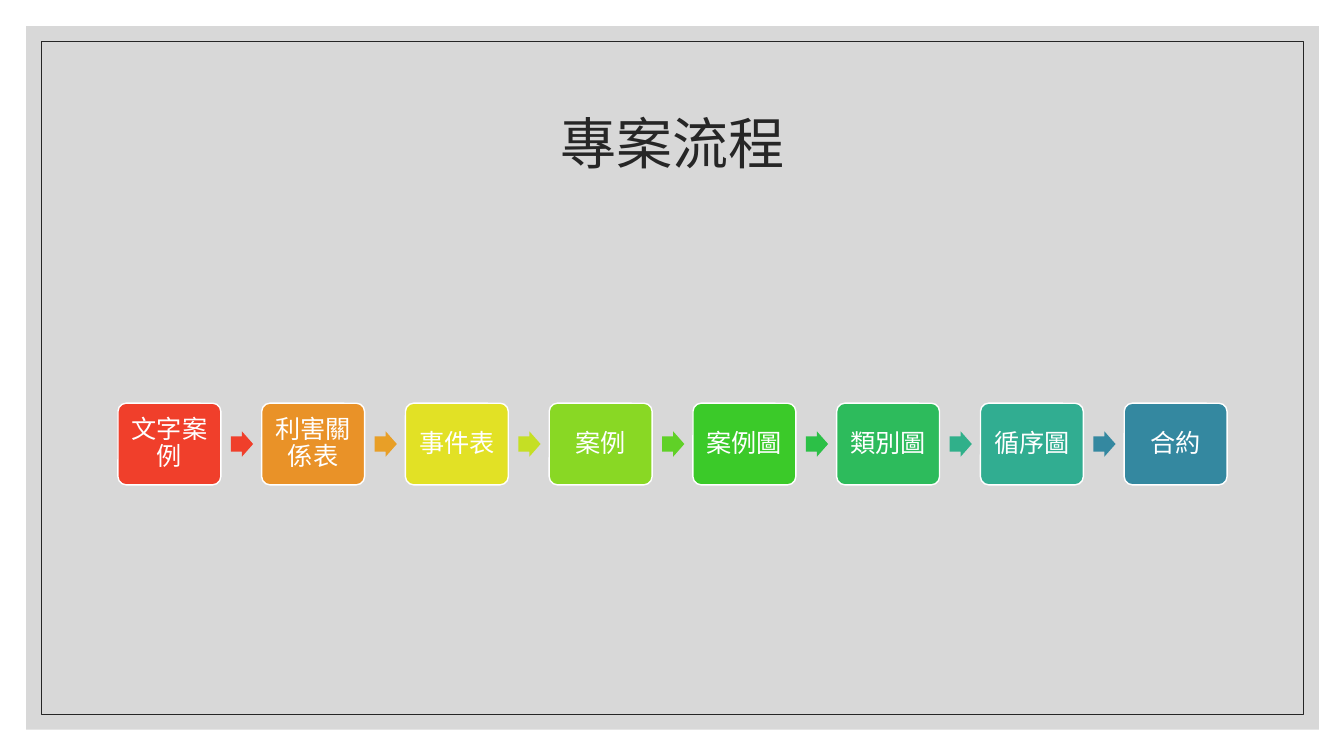
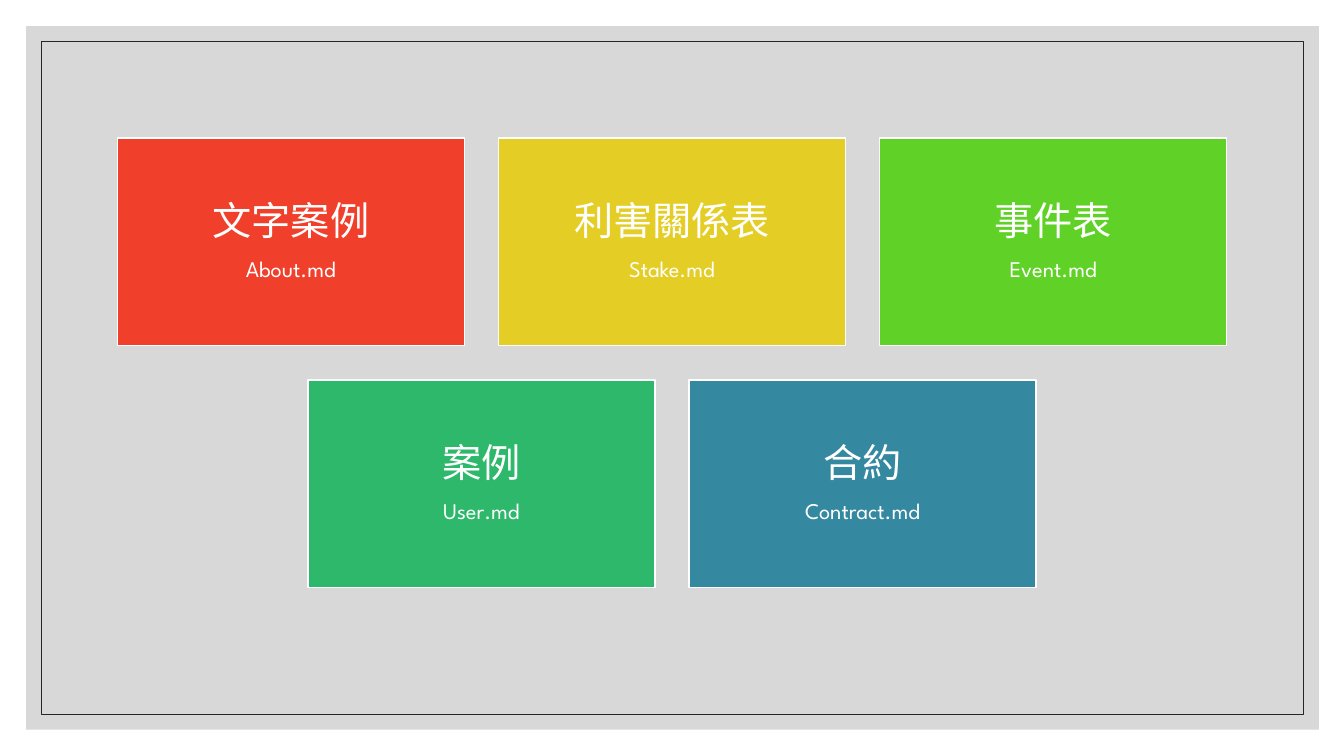
from dataclasses import dataclass

from lxml import etree
from pptx import Presentation
from pptx.dml.color import RGBColor
from pptx.enum import shapes, text
from pptx.oxml.ns import qn
from pptx.util import Inches, Pt


@dataclass(frozen=True)
class Theme:
    """Colours, fonts and type sizes of the deck."""
    ink: str = "262626"
    white: str = "FFFFFF"
    panel: str = "BFBFBF"
    latin: str = "League Spartan"
    cjk: str = "Noto Sans CJK TC"
    title: int = 40
    head: int = 28
    step: int = 18
    file: int = 16


theme = Theme()
kind = shapes.MSO_SHAPE
WIDE, HIGH = 13.33, 7.5
LEFT, SPAN = 1.17, 11


def block(slide, form, box, fill=None, line=None, weight=1):
    """Add a preset shape with the given fill and line."""
    shape = slide.shapes.add_shape(form, *map(Inches, box))
    shape.shadow.inherit = False
    if fill:
        shape.fill.solid()
        shape.fill.fore_color.rgb = RGBColor.from_string(fill)
    else:
        shape.fill.background()
    if line:
        shape.line.color.rgb = RGBColor.from_string(line)
        shape.line.width = Pt(weight)
    else:
        shape.line.fill.background()
    return shape


def write(shape, lines, color, face, inset, gap=0.35):
    """Fill a shape with centred (wording, size) lines."""
    frame = shape.text_frame
    frame.word_wrap = True
    frame.vertical_anchor = text.MSO_ANCHOR.MIDDLE
    frame.margin_left = frame.margin_right = Inches(inset)
    frame.margin_top = frame.margin_bottom = Inches(inset)
    for i, (words, size) in enumerate(lines):
        para = frame.add_paragraph() if i else frame.paragraphs[0]
        para.text = words
        para.alignment = text.PP_ALIGN.CENTER
        para.line_spacing = 0.9
        para.space_after = Pt(size * gap)
        para.font.size = Pt(size)
        para.font.name = face
        para.font.color.rgb = RGBColor.from_string(color)
        props = para._p.pPr.find(qn("a:defRPr"))
        etree.SubElement(props, qn("a:ea"), typeface=theme.cjk)


deck = Presentation()
deck.slide_width, deck.slide_height = Inches(WIDE), Inches(HIGH)
flow, files = [deck.slides.add_slide(deck.slide_layouts[6]) for _ in range(2)]

# Shared panel and frame
for slide in (flow, files):
    panel = block(slide, kind.RECTANGLE, (0.26, 0.26, 12.82, 6.98), theme.panel)
    tint = panel._element.spPr.find(qn("a:solidFill"))[0]
    etree.SubElement(tint, qn("a:alpha"), val="60000")
    block(slide, kind.RECTANGLE, (0.41, 0.41, 12.52, 6.68),
          line=theme.ink, weight=0.5)

# Project flow
title = flow.shapes.add_textbox(*map(Inches, (LEFT, 0.7, SPAN, 1.5)))
write(title, [("專案流程", theme.title)], theme.ink, theme.cjk, 0.1, gap=0)

steps = [
    ("文字案例", "F03F2B", "F03F2B"),
    ("利害關係表", "E99228", "E89F27"),
    ("事件表", "E2E125", "C5DF24"),
    ("案例", "89D824", "60D127"),
    ("案例圖", "3BCA29", "2CC047"),
    ("類別圖", "2DBB5C", "30B08A"),
    ("循序圖", "31AD91", "3488A0"),
    ("合約", "3488A0", None),
]
step_w = 1.02
pitch = (SPAN - step_w) / (len(steps) - 1)
for i, (name, fill, tip) in enumerate(steps):
    x = LEFT + i * pitch
    step = block(flow, kind.ROUNDED_RECTANGLE, (x, 4, step_w, 0.81),
                 fill, theme.white)
    step.adjustments[0] = 0.1
    write(step, [(name, theme.step)], theme.white, theme.latin, 0.09)
    if tip:
        arrow = block(flow, kind.RIGHT_ARROW, (x + 1.12, 4.28, 0.22, 0.25), tip)
        arrow.adjustments[0] = 0.6

# Files, each row centred
rows = [
    [("文字案例", "About.md", "F03F2B"),
     ("利害關係表", "Stake.md", "E4CD25"),
     ("事件表", "Event.md", "60D127")],
    [("案例", "User.md", "2EB86B"),
     ("合約", "Contract.md", "3488A0")],
]
card_w, card_h, gap = 3.44, 2.06, 0.34
for r, row in enumerate(rows):
    start = (WIDE - len(row) * (card_w + gap) + gap) / 2
    y = 1.37 + r * (card_h + gap)
    for c, (name, file, fill) in enumerate(row):
        x = start + c * (card_w + gap)
        card = block(files, kind.RECTANGLE, (x, y, card_w, card_h),
                     fill, theme.white)
        write(card, [(name, theme.head), (file, theme.file)],
              theme.white, theme.latin, 0.12)

deck.save("out.pptx")
